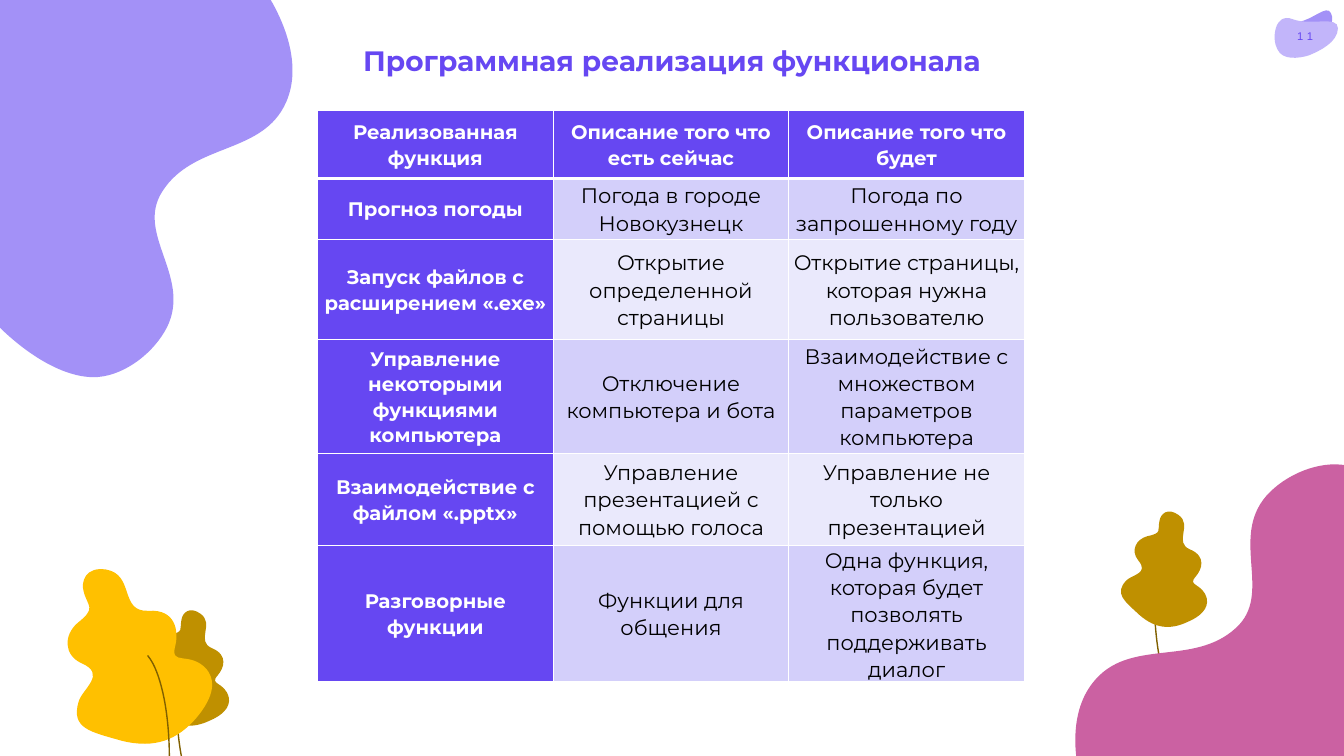
from lxml import etree
from pptx import Presentation
from pptx import util as u
from pptx.dml.color import RGBColor
from pptx.enum import shapes, text
from pptx.oxml import ns

WIDTH, HEIGHT = 13.33, 7.5
FONT = "Montserrat"
VIOLET, LILAC, PALE_LILAC = "6647F2", "A391F7", "C2B5FA"
PINK, GOLD, DARK_GOLD, STEM = "CB61A2", "FFC000", "BF9000", "806000"
WHITE, BLACK = "FFFFFF", "000000"
BANDS = ["D3CFFA", "EAE9FC"]

TITLE = "Программная реализация функционала"
PAGE_NUMBER = "11"
ROWS = [
    (0.67, ["Реализованная функция", "Описание того что есть сейчас", "Описание того что будет"]),
    (0.61, ["Прогноз погоды", "Погода в городе Новокузнецк", "Погода по запрошенному году"]),
    (0.99, ["Запуск файлов с расширением «.exe»", "Открытие определенной страницы",
            "Открытие страницы, которая нужна пользователю"]),
    (1.13, ["Управление некоторыми функциями компьютера", "Отключение компьютера и бота",
            "Взаимодействие с множеством параметров компьютера"]),
    (0.91, ["Взаимодействие с файлом «.pptx»", "Управление презентацией с помощью голоса",
            "Управление не только презентацией"]),
    (0.99, ["Разговорные функции", "Функции для общения",
            "Одна функция, которая будет позволять поддерживать диалог"]),
]
TABLE_LEFT, TABLE_TOP, TABLE_WIDTH = 3.15, 1.1, 7.01
HEADER_BORDERS = [("a:lnL", 1), ("a:lnR", 1), ("a:lnT", 1), ("a:lnB", 3)]

BADGE_BACK = [
    (12.87, 0.47), (12.8, 0.42), (12.73, 0.23), (12.87, 0.22), (13.02, 0.2), (13.16, 0.04),
    (13.2, 0.13), (13.25, 0.22), (13.15, 0.35), (13.1, 0.41), (13.04, 0.46), (12.94, 0.53),
    (12.87, 0.47)]
BADGE_FRONT = [
    (12.67, 0.49), (12.61, 0.39), (12.64, 0.12), (12.82, 0.19), (13, 0.26), (13.27, 0.15),
    (13.27, 0.28), (13.27, 0.42), (13.08, 0.51), (12.98, 0.55), (12.88, 0.58), (12.72, 0.6),
    (12.67, 0.49)]
CORNER_BLOB = [
    (1.97, -0.58), (2.08, -0.54), (2.5, -0.37), (2.73, 0.08), (2.78, 0.18), (3.01, 0.62),
    (2.84, 1.01), (2.61, 1.54), (1.92, 1.41), (1.61, 1.9), (1.34, 2.32), (1.9, 2.74),
    (1.66, 3.24), (1.53, 3.5), (1.24, 3.72), (0.97, 3.74), (0.13, 3.8), (-1.37, 2),
    (-0.76, 0.58), (-0.31, -0.45), (1.11, -0.94), (1.97, -0.58)]
SMALL_CROWN = [
    (11.69, 5.11), (11.58, 5.03), (11.51, 5.1), (11.5, 5.17), (11.48, 5.26), (11.53, 5.29),
    (11.38, 5.32), (11.27, 5.35), (11.21, 5.46), (11.29, 5.56), (11.4, 5.69), (11.23, 5.7),
    (11.17, 5.76), (11.05, 5.89), (11.15, 5.96), (11.3, 6.1), (11.46, 6.24), (11.61, 6.25),
    (11.78, 6.17), (11.9, 6.12), (11.99, 6.04), (11.97, 5.94), (11.93, 5.78), (11.77, 5.82),
    (11.86, 5.72), (11.92, 5.65), (11.97, 5.52), (11.8, 5.45), (11.64, 5.38), (11.83, 5.21),
    (11.69, 5.11)]
LARGE_CROWN = [
    (1.05, 5.65), (0.85, 5.62), (0.8, 5.77), (0.83, 5.87), (0.87, 6.02), (0.96, 6.03),
    (0.77, 6.18), (0.63, 6.3), (0.63, 6.5), (0.81, 6.58), (1.06, 6.69), (0.82, 6.83),
    (0.78, 6.96), (0.7, 7.23), (0.9, 7.26), (1.21, 7.35), (1.54, 7.43), (1.76, 7.34),
    (1.95, 7.12), (2.09, 6.95), (2.16, 6.78), (2.05, 6.64), (1.88, 6.45), (1.68, 6.62),
    (1.74, 6.4), (1.77, 6.27), (1.75, 6.04), (1.47, 6.06), (1.18, 6.07), (1.34, 5.7),
    (1.05, 5.65)]
STEM_SIZE = (0.65, 2.15)
CURVE_STEPS = 20

deck = Presentation()
deck.slide_width, deck.slide_height = u.Inches(WIDTH), u.Inches(HEIGHT)
page = deck.slides.add_slide(deck.slide_layouts[6])


def colour(code):
    return RGBColor.from_string(code)


def add_node(parent, tag, **attributes):
    return etree.SubElement(parent, ns.qn(tag), attributes)


def bezier(anchors, t):
    weights = ((1 - t) ** 3, 3 * t * (1 - t) ** 2, 3 * t * t * (1 - t), t ** 3)
    return tuple(sum(w * p[axis] for w, p in zip(weights, anchors)) for axis in (0, 1))


def add_blob(anchors, fill, shift=(0, 0), turn=0):
    moved = [(u.Inches(x + shift[0]), u.Inches(y + shift[1])) for x, y in anchors]
    starts = range(0, len(moved) - 1, 3)
    xs, ys = zip(*(bezier(moved[i:i + 4], step / CURVE_STEPS)
                   for i in starts for step in range(CURVE_STEPS + 1)))
    left, top, right, bottom = map(round, (min(xs), min(ys), max(xs), max(ys)))
    builder = page.shapes.build_freeform(left, top)
    builder.add_line_segments([(right, bottom)])
    blob = builder.convert_to_shape()

    outline = next(blob._element.iter(ns.qn("a:path")))
    for node in list(outline):
        outline.remove(node)
    commands = [("a:moveTo", moved[:1])]
    commands += [("a:cubicBezTo", moved[i + 1:i + 4]) for i in starts]
    for tag, points in commands:
        command = add_node(outline, tag)
        for x, y in points:
            add_node(command, "a:pt", x=str(x - left), y=str(y - top))
    add_node(outline, "a:close")

    blob.shadow.inherit = False
    blob.fill.solid()
    blob.fill.fore_color.rgb = colour(fill)
    blob.line.fill.background()
    blob.rotation = turn


def add_stem(left, top, start, turn=0):
    stem = page.shapes.add_shape(shapes.MSO_SHAPE.ARC,
                                 *map(u.Inches, (left, top, *STEM_SIZE)))
    stem.adjustments[0], stem.adjustments[1] = start, 0
    stem.rotation = turn
    stem.shadow.inherit = False
    stem.fill.background()
    stem.line.color.rgb = colour(STEM)
    stem.line.width = u.Pt(1)


def add_small_tree(shift=(0, 0)):
    add_stem(11.45 + shift[0], 4.88 + shift[1], 177.48, 180)
    add_blob(SMALL_CROWN, DARK_GOLD, shift)


def write(frame, words, size, code, bold=False, font=FONT):
    para = frame.paragraphs[0]
    para.alignment = text.PP_ALIGN.CENTER
    span = para.add_run()
    span.text = words
    span.font.name, span.font.size, span.font.bold = font, u.Pt(size), bold
    span.font.color.rgb = colour(code)
    return para, span


def add_label(left, top, width, height, wrap):
    frame = page.shapes.add_textbox(*map(u.Inches, (left, top, width, height))).text_frame
    frame.word_wrap = wrap
    return frame


def add_header_borders(cell):
    properties = cell._tc.get_or_add_tcPr()
    for position, (tag, points) in enumerate(HEADER_BORDERS):
        border = add_node(properties, tag, w=str(u.Pt(points)))
        add_node(add_node(border, "a:solidFill"), "a:srgbClr", val=WHITE)
        properties.insert(position, border)


def add_function_table():
    heights = [height for height, _ in ROWS]
    columns = len(ROWS[0][1])
    table = page.shapes.add_table(
        len(ROWS), columns,
        *map(u.Inches, (TABLE_LEFT, TABLE_TOP, TABLE_WIDTH, sum(heights)))).table
    for column in table.columns:
        column.width = u.Inches(TABLE_WIDTH / columns)
    for r, (height, entries) in enumerate(ROWS):
        table.rows[r].height = u.Inches(height)
        for c, entry in enumerate(entries):
            heading = r == 0 or c == 0
            cell = table.cell(r, c)
            cell.fill.solid()
            cell.fill.fore_color.rgb = colour(VIOLET if heading else BANDS[(r - 1) % 2])
            cell.vertical_anchor = text.MSO_ANCHOR.MIDDLE
            cell.margin_left = cell.margin_right = u.Inches(0.01)
            cell.margin_top = cell.margin_bottom = u.Inches(0.01)
            para, _ = write(cell.text_frame, entry, 14 if heading else 15,
                            WHITE if heading else BLACK, heading)
            para.line_spacing = 1.07
            if r == 0:
                add_header_borders(cell)


add_blob(BADGE_BACK, LILAC)
add_blob(BADGE_FRONT, PALE_LILAC)
number = add_label(12.56, 0.01, 0.77, 0.69, False)
number.vertical_anchor = text.MSO_ANCHOR.MIDDLE
number.margin_left = number.margin_right = u.Inches(0.13)
number.margin_top = number.margin_bottom = u.Inches(0.07)
_, digits = write(number, PAGE_NUMBER, 8, VIOLET, font="Arial")
digits.font._element.set("spc", "300")

add_small_tree()
add_blob(CORNER_BLOB, LILAC)
add_blob(CORNER_BLOB, PINK, (11.75, 5.23), 195)
add_small_tree((-9.7, 0.98))
add_blob(LARGE_CROWN, GOLD)
add_stem(1.03, 6.44, 165.69)

write(add_label(3.26, 0.38, 6.81, 0.44, True), TITLE, 20, VIOLET, True)
add_function_table()

deck.save("out.pptx")
